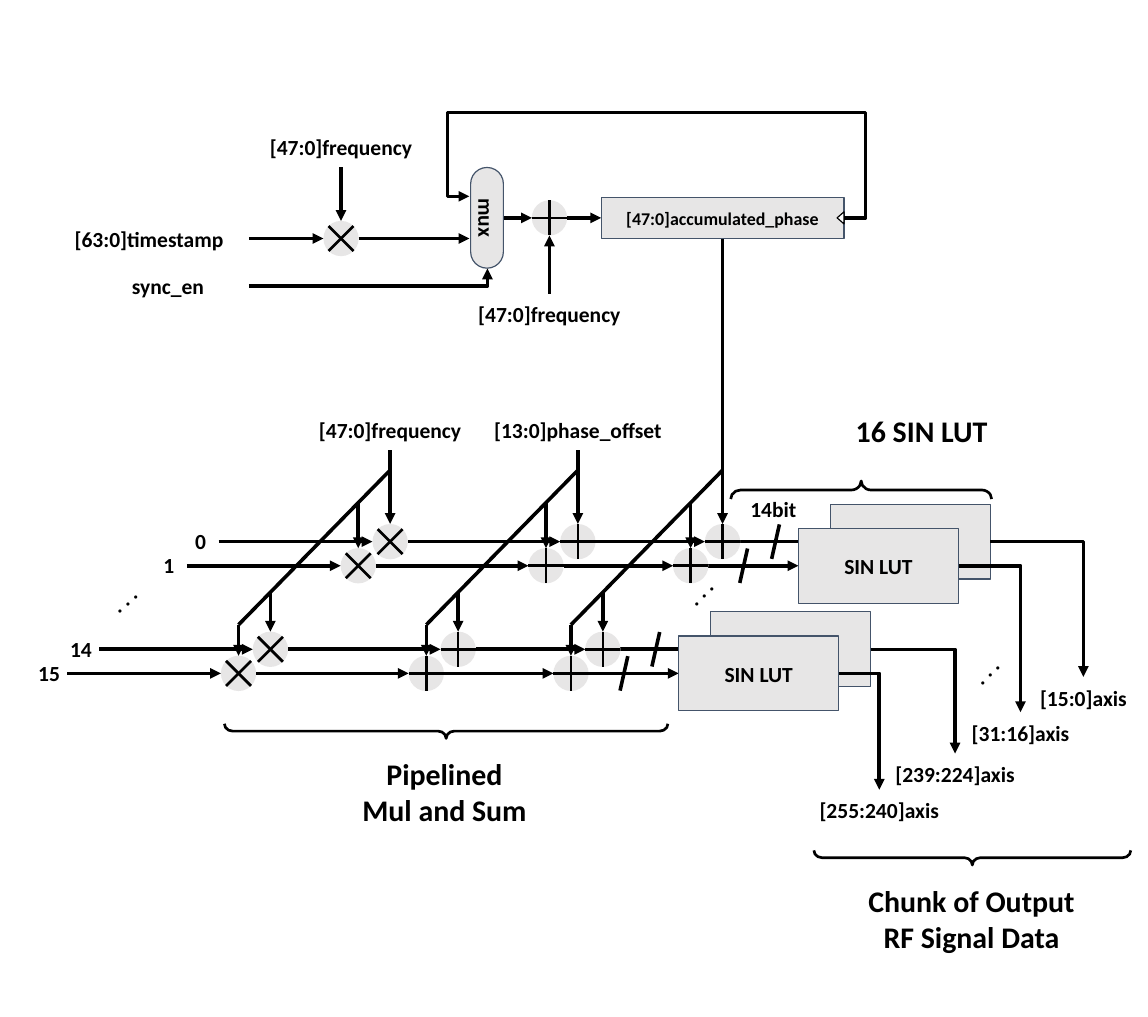
from lxml.etree import SubElement
from pptx import Presentation
from pptx.dml.color import RGBColor
from pptx.enum.shapes import MSO_CONNECTOR, MSO_SHAPE
from pptx.enum.text import MSO_ANCHOR, PP_ALIGN
from pptx.oxml.ns import qn
from pptx.util import Inches, Pt

BLACK, GREY, NAVY, WHITE = "000000", "E7E6E6", "44546A", "FFFFFF"
DISC = 0.41
RAD = DISC / 2
LUT_W, LUT_H = 1.86, 0.87


def paint(fill, hue):
    fill.solid()
    fill.fore_color.rgb = RGBColor.from_string(hue)


def write(shape, words, size=18):
    frame = shape.text_frame
    frame.text = words
    frame.word_wrap = True
    frame.vertical_anchor = MSO_ANCHOR.MIDDLE
    frame.margin_left = frame.margin_right = 0
    for para in frame.paragraphs:
        para.alignment = PP_ALIGN.CENTER
        for run in para.runs:
            run.font.name = "Calibri"
            run.font.size = Pt(size)
            run.font.bold = True
            paint(run.font.fill, BLACK)


def label(slide, words, mid, top, width, size=18, height=0.48, turn=0):
    """Add text centred on the x position mid."""
    box = slide.shapes.add_textbox(Inches(mid - width / 2), Inches(top),
                                   Inches(width), Inches(height))
    box.rotation = turn
    write(box, words, size)


def block(shapes, kind, box, fill=GREY, edge=NAVY, weight=1, turn=0):
    """Add a shape; None for fill or edge leaves that part out."""
    shape = shapes.add_shape(kind, *map(Inches, box))
    shape.shadow.inherit = False
    shape.rotation = turn
    for part, hue in ((shape.fill, fill), (shape.line.fill, edge)):
        if hue:
            paint(part, hue)
        else:
            part.background()
    if edge:
        shape.line.width = Pt(weight)
    return shape


def wire(shapes, start, end, head=True, weight=3, preset=None, bends=()):
    """Join two points; preset names a bent route and bends its adjustments."""
    kind = MSO_CONNECTOR.ELBOW if preset else MSO_CONNECTOR.STRAIGHT
    link = shapes.add_connector(kind, *map(Inches, start + end))
    paint(link.line.fill, BLACK)
    link.line.width = Pt(weight)
    props = link.element.spPr
    if head:
        SubElement(props.find(qn("a:ln")), qn("a:tailEnd"), type="triangle")
    SubElement(props, qn("a:effectLst"))
    if preset:
        geom = props.find(qn("a:prstGeom"))
        geom.set("prst", preset)
        guides = geom.find(qn("a:avLst"))
        for num, bend in enumerate(bends, 1):
            SubElement(guides, qn("a:gd"), name=f"adj{num}", fmla=f"val {bend}")
    return link


def node(slide, x, y, times=False):
    """Add an adder, or a multiplier, centred on x, y."""
    parts = slide.shapes.add_group_shape().shapes
    block(parts, MSO_SHAPE.OVAL, (x - RAD, y - RAD, DISC, DISC), edge=None)
    arm = 0.145
    ways = ((arm, arm), (-arm, arm)) if times else ((RAD, 0), (0, RAD))
    for dx, dy in ways:
        wire(parts, (x - dx, y - dy), (x + dx, y + dy), False, 2.25)


def brace(slide, mid, y, span, depth, turn):
    shape = block(slide.shapes, MSO_SHAPE.RIGHT_BRACE,
                  (mid - depth / 2, y - span / 2, depth, span),
                  None, BLACK, 2.25, turn)
    shape.adjustments[0] = 0.549


def phase_loop(slide, x, y):
    """Draw the phase accumulator and return its register."""
    shapes = slide.shapes
    mul, add, low, mid = x + 3.46, x + 5.88, y + 1.47, y + 1.23
    mux = block(shapes, MSO_SHAPE.FLOWCHART_TERMINATOR,
                (x + 4.57, y + 1.04, 1.17, 0.38), turn=90)
    write(mux, "mux")
    phase = block(shapes, MSO_SHAPE.RECTANGLE, (x + 6.48, y + 0.99, 2.82, 0.48))
    write(phase, "[47:0]accumulated_phase", 15)
    block(shapes, MSO_SHAPE.ISOSCELES_TRIANGLE,
          (x + 9.19, y + 1.19, 0.14, 0.08), WHITE, BLACK, turn=270)
    node(slide, mul, low, True)
    node(slide, add, mid)

    wire(shapes, (mul, y + 0.64), (mul, low - RAD))
    wire(shapes, (x + 2.39, low), (mul - RAD, low))
    wire(shapes, (mul + RAD, low), (x + 4.95, low))
    wire(shapes, (x + 5.35, mid), (add - RAD, mid))
    wire(shapes, (add, y + 2.11), (add, mid + RAD))
    wire(shapes, (add + RAD, mid), (x + 6.48, mid)).end_connect(phase, 1)
    wire(shapes, (x + 2.39, y + 2.02), (x + 5.16, y + 1.82),
         preset="bentConnector2")
    wire(shapes, (x + 9.3, mid), (x + 4.95, y + 0.98),
         preset="bentConnector5", bends=(-5800, 489800, 105800))

    label(slide, "[47:0]frequency", mul, y + 0.16, 2.13)
    label(slide, "[63:0]timestamp", x + 1.23, y + 1.23, 2.32)
    label(slide, "sync_en", x + 1.45, y + 1.78, 1.89)
    label(slide, "[47:0]frequency", add, y + 2.11, 2.13)
    return phase


def lane(slide, x, y, name, stages, front, drop, out):
    """Draw one sample lane, from its number to its output."""
    shapes = slide.shapes
    label(slide, name, x + 1.83, y - 0.25, 0.6)
    lut = block(shapes, MSO_SHAPE.RECTANGLE,
                (x + 9.14, y - LUT_H / 2, LUT_W, LUT_H))
    if front:
        write(lut, "SIN LUT")
    tail = x + 2.04
    for num, stage in enumerate(stages):
        node(slide, x + stage, y, num == 0)
        wire(shapes, (tail, y), (x + stage - RAD, y))
        tail = x + stage + RAD
    feed = wire(shapes, (tail, y), (x + 9.14, y))
    feed.end_connect(lut, 1)
    lut.element.addprevious(feed.element)
    wire(shapes, (x + 8.55, y - 0.2), (x + 8.46, y + 0.2), False)
    end, foot = drop
    wire(shapes, (x + 9.14 + LUT_W, y), (end, foot), preset="bentConnector2")
    label(slide, out, end, foot, 2.08)


def fan(slide, x, y, rows, phase=None):
    """Spread one input from x, y over all lanes; phase feeds it if given."""
    shapes = slide.shapes
    for shift, row in rows:
        top = y + 0.23 + 1.02 * shift if shift else y
        drop = wire(shapes, (x - shift, top), (x - shift, row - RAD))
        if phase and not shift:
            drop.begin_connect(phase, 2)
    last = rows[-1][0]
    wire(shapes, (x, y + 0.23), (x - last, y + 0.23 + 1.02 * last), False)


def pipeline(slide, x, y, phase):
    stages = (4.03, 6.21, 7.89)
    lanes = (
        ("0", 0, 1.79, (12.08, 3.36), "[15:0]axis"),
        ("1", 0.37, 2.07, (11.35, 3.77), "[31:16]axis"),
        ("14", 1.39, 3.04, (10.59, 4.25), "[239:224]axis"),
        ("15", 1.76, 3.32, (9.71, 4.67), "[255:240]axis"),
    )
    for num, (name, shift, row, (end, foot), out) in enumerate(lanes):
        lane(slide, x - shift, y + row, name, stages, num % 2 == 1,
             (x + end, y + foot), out)
    rows = [(shift, y + row) for _, shift, row, _, _ in lanes]
    for stage, source in zip(stages, (None, None, phase)):
        fan(slide, x + stage, y + 0.73, rows, source)

    label(slide, "[47:0]frequency", x + 4.03, y + 0.25, 2.13)
    label(slide, "[13:0]phase_offset", x + 6.21, y + 0.25, 2.52)
    label(slide, "14bit", x + 8.48, y + 1.17, 0.82)
    for mid, top, turn in ((0.93, 2.22, 318), (7.62, 2.13, 315), (10.94, 3.05, 315)):
        label(slide, ". . .", x + mid, y + top, 0.55, turn=turn)

    brace(slide, x + 9.5, y + 1.19, 3.03, 0.21, 270)
    label(slide, "16 SIN LUT", x + 10.2, y + 0.26, 2.13, 25)
    brace(slide, x + 4.68, y + 3.99, 5.15, 0.17, 90)
    label(slide, "Pipelined\nMul and Sum", x + 4.66, y + 4.25, 2.65, 25, 0.89)
    brace(slide, x + 10.79, y + 5.46, 3.68, 0.17, 90)
    label(slide, "Chunk of Output RF Signal Data", x + 10.78, y + 5.72, 2.65, 25, 0.89)


def main():
    deck = Presentation()
    deck.slide_width, deck.slide_height = Inches(13.33), Inches(11.81)
    slide = deck.slides.add_slide(deck.slide_layouts[6])
    phase = phase_loop(slide, 0.5, 1.3)
    pipeline(slide, 0.5, 4.5, phase)
    deck.save("out.pptx")


if __name__ == "__main__":
    main()
